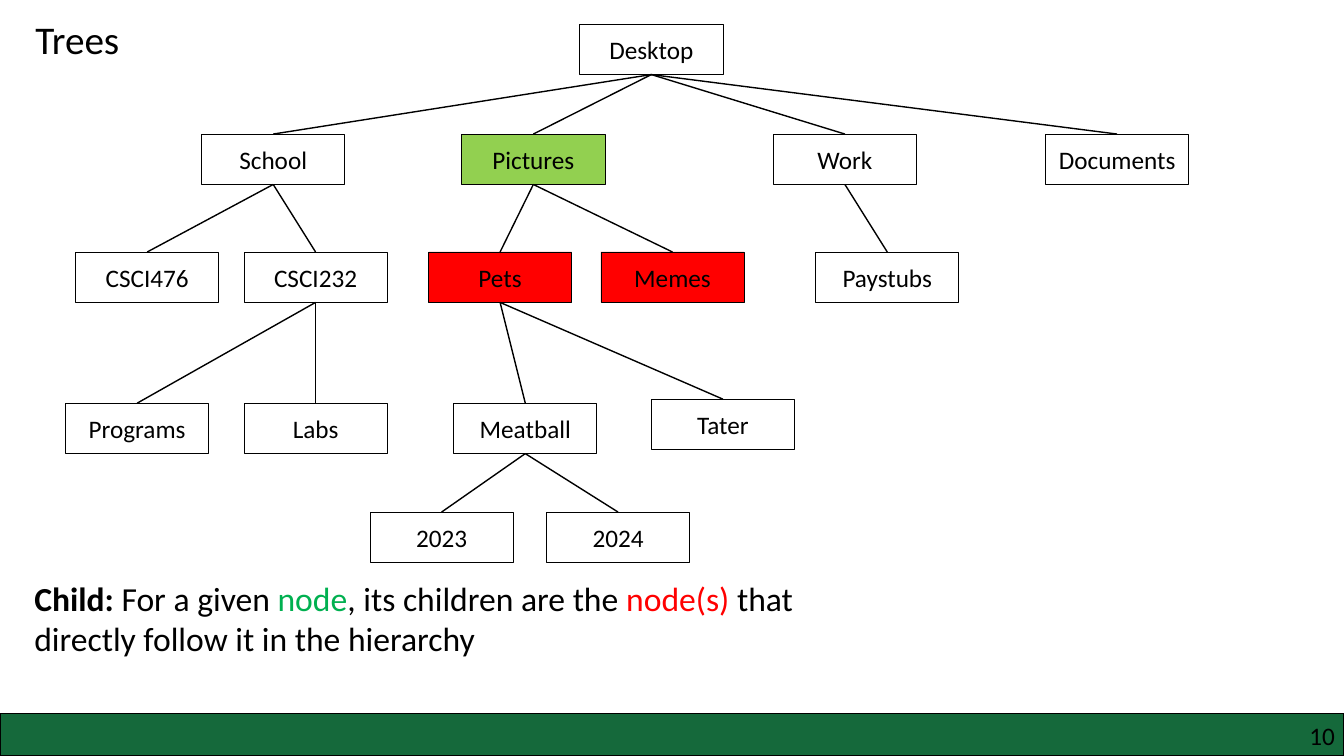
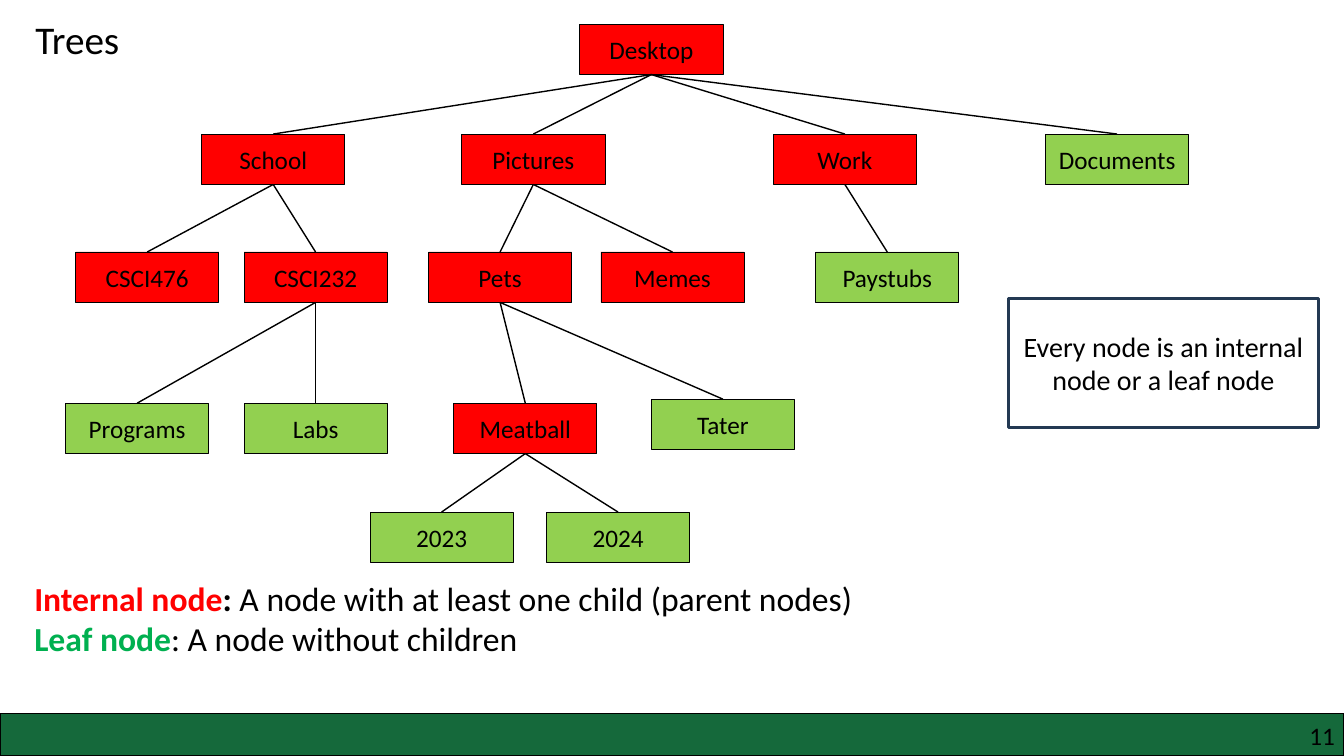
import pptx
import pptx.dml.color
import pptx.enum.shapes
import pptx.enum.text
import pptx.oxml.ns
import pptx.util
from lxml import etree

Inches, Pt = pptx.util.Inches, pptx.util.Pt
ALIGN = pptx.enum.text.PP_ALIGN
ANCHOR = pptx.enum.text.MSO_ANCHOR

COLORS = {
    "white": "FFFFFF", "black": "000000", "band": "15693B", "red": "FF0000",
    "lime": "92D050", "green": "00B050", "navy": "233953",
}
NODE_SIZE = (1.42, 0.5)
BOTTOM, TOP = 2, 0  # connection sites of a rectangle

# Folder tree: name -> (left, top, parent)
TREE = {
    "Desktop": (5.75, 0.24, None),
    "School": (2, 1.33, "Desktop"),
    "Pictures": (4.58, 1.33, "Desktop"),
    "Work": (7.67, 1.33, "Desktop"),
    "Documents": (10.37, 1.33, "Desktop"),
    "CSCI476": (0.75, 2.5, "School"),
    "CSCI232": (2.42, 2.5, "School"),
    "Pets": (4.25, 2.5, "Pictures"),
    "Memes": (5.96, 2.5, "Pictures"),
    "Paystubs": (8.09, 2.5, "Work"),
    "Programs": (0.65, 4, "CSCI232"),
    "Labs": (2.42, 4, "CSCI232"),
    "Meatball": (4.5, 4, "Pets"),
    "Tater": (6.46, 3.96, "Pets"),
    "2023": (3.67, 5.08, "Meatball"),
    "2024": (5.42, 5.08, "Meatball"),
}
LEAVES = ("Documents", "Paystubs", "Programs", "Labs", "Tater", "2023", "2024")


def rgb(color):
    return pptx.dml.color.RGBColor.from_string(COLORS[color])


def apply(target, values):
    for name, value in values.items():
        setattr(target, name, value)


class Deck:
    """Holds the shared style and the slide being built."""

    font = "Calibri"

    def __init__(self):
        self.prs = pptx.Presentation()
        apply(self.prs, {"slide_width": Inches(13.33), "slide_height": Inches(7.5)})
        self.slide = None

    def new_slide(self, title, number):
        self.slide = self.prs.slides.add_slide(self.prs.slide_layouts[1])
        # Footer band with the slide number
        self.box((0, 7.08, 13.33, 0.42), "band", width=1)
        page = self.slide.shapes.add_textbox(
            *map(Inches, (10.17, 7.15, 3.07, 0.3)))
        apply(page.text_frame, dict.fromkeys(
            ("margin_left", "margin_top", "margin_right", "margin_bottom"), 0))
        self.fill_text(page, [[(str(number), "black", False)]], 18, ALIGN.RIGHT)
        # Title
        heading = self.slide.shapes.title
        self.place(heading, (0.25, 0.1, 1.21, 0.57))
        self.fill_text(heading, [[(title, "black", False)]], 28)

    def place(self, shape, area):
        apply(shape, dict(zip(("left", "top", "width", "height"), map(Inches, area))))

    def fill_text(self, shape, paragraphs, size, align=ALIGN.LEFT, anchor=ANCHOR.TOP):
        frame = shape.text_frame
        apply(frame, {"word_wrap": True, "vertical_anchor": anchor,
                      "auto_size": pptx.enum.text.MSO_AUTO_SIZE.NONE})
        for index, runs in enumerate(paragraphs):
            paragraph = frame.add_paragraph() if index else frame.paragraphs[0]
            apply(paragraph, {"alignment": align, "space_before": Pt(0),
                              "space_after": Pt(0), "line_spacing": 1.0})
            for text, color, bold in runs:
                run = paragraph.add_run()
                run.text = text
                apply(run.font, {"name": self.font, "size": Pt(size), "bold": bold})
                run.font.color.rgb = rgb(color)

    def box(self, area, fill, text="", line="black", width=0.5, size=18):
        shape = self.slide.shapes.add_shape(
            pptx.enum.shapes.MSO_SHAPE.RECTANGLE, *map(Inches, area))
        shape.shadow.inherit = False
        shape.fill.solid()
        shape.fill.fore_color.rgb = rgb(fill)
        shape.line.color.rgb = rgb(line)
        shape.line.width = Pt(width)
        if text:
            self.fill_text(shape, [[(text, "black", False)]], size,
                           ALIGN.CENTER, ANCHOR.MIDDLE)
        return shape

    def branch(self, parent, child):
        edge = self.slide.shapes.add_connector(
            pptx.enum.shapes.MSO_CONNECTOR.STRAIGHT, 0, 0, 0, 0)
        edge.begin_connect(parent, BOTTOM)
        edge.end_connect(child, TOP)
        edge.line.color.rgb = rgb("black")
        edge.line.width = Pt(1)
        etree.SubElement(edge._element.spPr, pptx.oxml.ns.qn("a:effectLst"))

    def tree(self, fills, default):
        nodes = {name: self.box((left, top, *NODE_SIZE), fills.get(name, default), name)
                 for name, (left, top, _) in TREE.items()}
        for name, (_, _, parent) in TREE.items():
            if parent:
                self.branch(nodes[parent], nodes[name])

    def definition(self, width, paragraphs):
        body = self.slide.placeholders[1]
        self.place(body, (0.24, 5.68, width, 0.91))
        self.fill_text(body, paragraphs, 24)
        for paragraph in body.text_frame.paragraphs:
            properties = paragraph._p.get_or_add_pPr()
            properties.set("marL", "0")
            properties.set("indent", "0")
            etree.SubElement(properties, pptx.oxml.ns.qn("a:buNone"))


def main():
    deck = Deck()

    # Children of a node
    deck.new_slide("Trees", 10)
    deck.tree({"Pictures": "lime", "Pets": "red", "Memes": "red"}, "white")
    deck.definition(8.8, [[
        ("Child: ", "black", True),
        ("For a given ", "black", False),
        ("node", "green", False),
        (", its children are the ", "black", False),
        ("node(s)", "red", False),
        (" that directly follow it in the hierarchy", "black", False),
    ]])

    # Internal and leaf nodes
    deck.new_slide("Trees", 11)
    deck.tree(dict.fromkeys(LEAVES, "lime"), "red")
    deck.definition(10.76, [
        [("Internal node", "red", True), (": ", "black", True),
         ("A node with at least one child (parent nodes)", "black", False)],
        [("Leaf node", "green", True), (": A node without children", "black", False)],
    ])
    deck.box((10, 2.96, 3.08, 1.28), "white",
             "Every node is an internal node or a leaf node", "navy", 2, 20)

    deck.prs.save("out.pptx")


if __name__ == "__main__":
    main()
